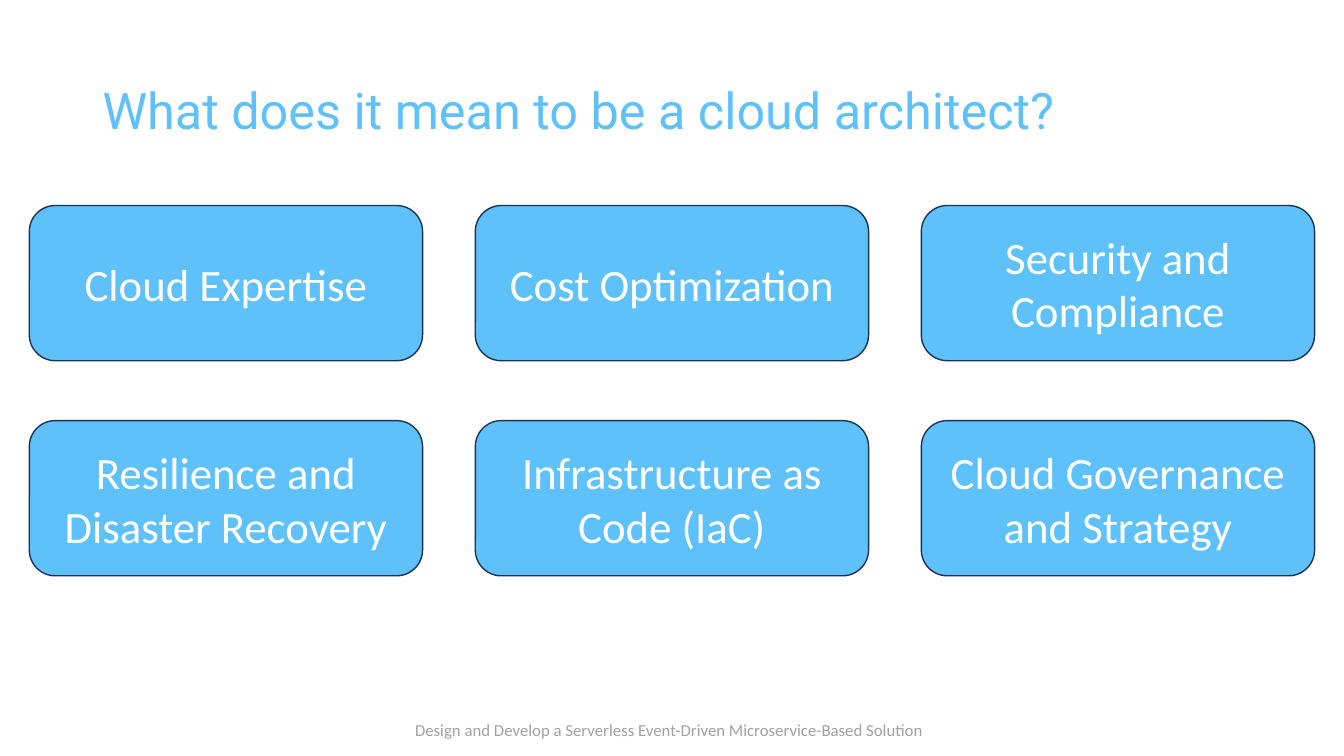
from pptx import Presentation
from pptx.dml.color import RGBColor
from pptx.enum.shapes import MSO_SHAPE
from pptx.enum.text import MSO_ANCHOR, MSO_AUTO_SIZE, PP_ALIGN
from pptx.util import Cm, Pt

ROUND = MSO_SHAPE.ROUNDED_RECTANGLE
MIDDLE = MSO_ANCHOR.MIDDLE
GROW = MSO_AUTO_SIZE.SHAPE_TO_FIT_TEXT
NO_FIT = MSO_AUTO_SIZE.NONE
LEFT, CENTER = PP_ALIGN.LEFT, PP_ALIGN.CENTER

SKY, NAVY, WHITE, GREY = "5FC1F9", "1E3256", "FFFFFF", "A2A1A1"


def color(code):
    return RGBColor.from_string(code)


def write(shape, text, size, ink, font="Calibri", align=LEFT,
          wrap=True, fit=NO_FIT, space=1.0):
    frame = shape.text_frame
    frame.text = text
    frame.word_wrap = wrap
    frame.auto_size = fit
    frame.vertical_anchor = MIDDLE
    para = frame.paragraphs[0]
    para.alignment = align
    para.line_spacing = space
    face = para.runs[0].font
    face.name = font
    face.size = Pt(size)
    face.color.rgb = color(ink)


deck = Presentation()
deck.slide_width, deck.slide_height = Cm(33.87), Cm(19.05)
slide = deck.slides.add_slide(deck.slide_layouts[5])

# Footer
foot = slide.shapes.add_textbox(Cm(10.21), Cm(18.01), Cm(13.46), Cm(0.77))
write(foot, "Design and Develop a Serverless Event-Driven Microservice-Based Solution",
      12, GREY, wrap=False, fit=GROW)

# Title
title = slide.shapes.title
title.left, title.top = Cm(2.33), Cm(1.01)
title.width, title.height = Cm(29.21), Cm(3.68)
write(title, "What does it mean to be a cloud architect?",
      36, SKY, font="Roboto", space=0.9)

# Grid of skills, three to a row
skills = [
    "Cloud Expertise", "Cost Optimization", "Security and Compliance",
    "Resilience and Disaster Recovery", "Infrastructure as Code (IaC)",
    "Cloud Governance and Strategy",
]
for i, skill in enumerate(skills):
    row, col = divmod(i, 3)
    card = slide.shapes.add_shape(
        ROUND, Cm(0.74 + 11.24 * col), Cm(5.18 + 5.42 * row), Cm(9.91), Cm(3.91))
    card.shadow.inherit = False
    card.fill.solid()
    card.fill.fore_color.rgb = color(SKY)
    card.line.color.rgb = color(NAVY)
    card.line.width = Pt(1)
    write(card, skill, 32, WHITE, align=CENTER)

deck.save("out.pptx")
